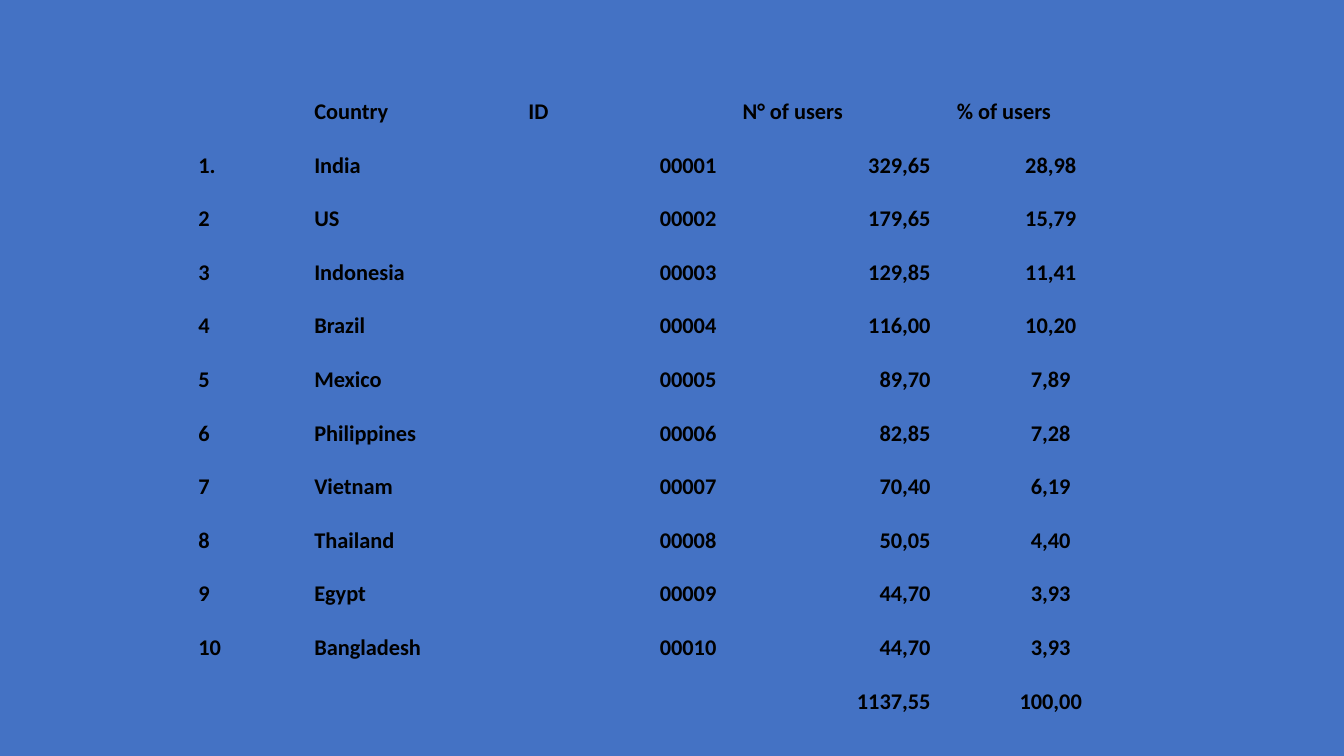
"""Build a slide with a table of users by country."""
from pptx import Presentation
from pptx.dml.color import RGBColor
from pptx.enum.text import MSO_ANCHOR, PP_ALIGN
from pptx.util import Cm, Pt

LEFT, CENTER, RIGHT = PP_ALIGN.LEFT, PP_ALIGN.CENTER, PP_ALIGN.RIGHT
BOTTOM = MSO_ANCHOR.BOTTOM
COLORS = {"background": "4472C4", "text": "000000"}
FONT = "Calibri"
NO_STYLE_NO_GRID = "{2D5ABB26-0587-4C30-8999-92F81FD0307C}"

HEADERS = ("", "Country", "ID", "N° of users", "% of users")
COUNTRIES = (
    ("India", "329,65", "28,98"),
    ("US", "179,65", "15,79"),
    ("Indonesia", "129,85", "11,41"),
    ("Brazil", "116,00", "10,20"),
    ("Mexico", "89,70", "7,89"),
    ("Philippines", "82,85", "7,28"),
    ("Vietnam", "70,40", "6,19"),
    ("Thailand", "50,05", "4,40"),
    ("Egypt", "44,70", "3,93"),
    ("Bangladesh", "44,70", "3,93"),
)
TOTALS = ("", "", "", "1137,55", "100,00")
ALIGNMENTS = (LEFT, LEFT, RIGHT, RIGHT, CENTER)
RANK_WIDTH, TOP_ROW_HEIGHT, ROW_HEIGHT = 2.92, 1.3, 1.22


def country_rows():
    rows = [("",) * len(HEADERS), HEADERS]
    for rank, (country, users, share) in enumerate(COUNTRIES, 1):
        label = "1." if rank == 1 else str(rank)
        rows.append((label, country, f"{rank:05d}", users, share))
    return rows + [TOTALS]


def fill_cell(cell, text, alignment):
    cell.fill.background()
    if not text:
        return
    cell.vertical_anchor = BOTTOM
    cell.margin_left = cell.margin_right = Cm(0.33)
    cell.margin_top = cell.margin_bottom = Cm(0.33)
    cell.text = text
    paragraph = cell.text_frame.paragraphs[0]
    paragraph.alignment = alignment
    font = paragraph.font
    font.name, font.size, font.bold = FONT, Pt(16), True
    font.color.rgb = RGBColor.from_string(COLORS["text"])


def add_users_table(slide, left, top, width, height):
    rows = country_rows()
    frame = slide.shapes.add_table(
        len(rows), len(HEADERS), Cm(left), Cm(top), Cm(width), Cm(height))
    frame.element.xpath(".//a:tableStyleId")[0].text = NO_STYLE_NO_GRID
    table = frame.table
    table.first_row = table.horz_banding = False
    data_width = (width - RANK_WIDTH) / (len(HEADERS) - 1)
    for index, column in enumerate(table.columns):
        column.width = Cm(data_width if index else RANK_WIDTH)
    for row_index, values in enumerate(rows):
        row = table.rows[row_index]
        row.height = Cm(ROW_HEIGHT if row_index else TOP_ROW_HEIGHT)
        for cell, text, alignment in zip(row.cells, values, ALIGNMENTS):
            fill_cell(cell, text, LEFT if values is HEADERS else alignment)
    frame.height = Cm(height)


def main():
    presentation = Presentation()
    presentation.slide_width = Cm(33.87)
    presentation.slide_height = Cm(19.05)
    slide = presentation.slides.add_slide(presentation.slide_layouts[6])
    background = slide.background.fill
    background.solid()
    background.fore_color.rgb = RGBColor.from_string(COLORS["background"])
    add_users_table(slide, 4.67, 0.84, 24.51, 17.35)
    presentation.save("out.pptx")


main()
